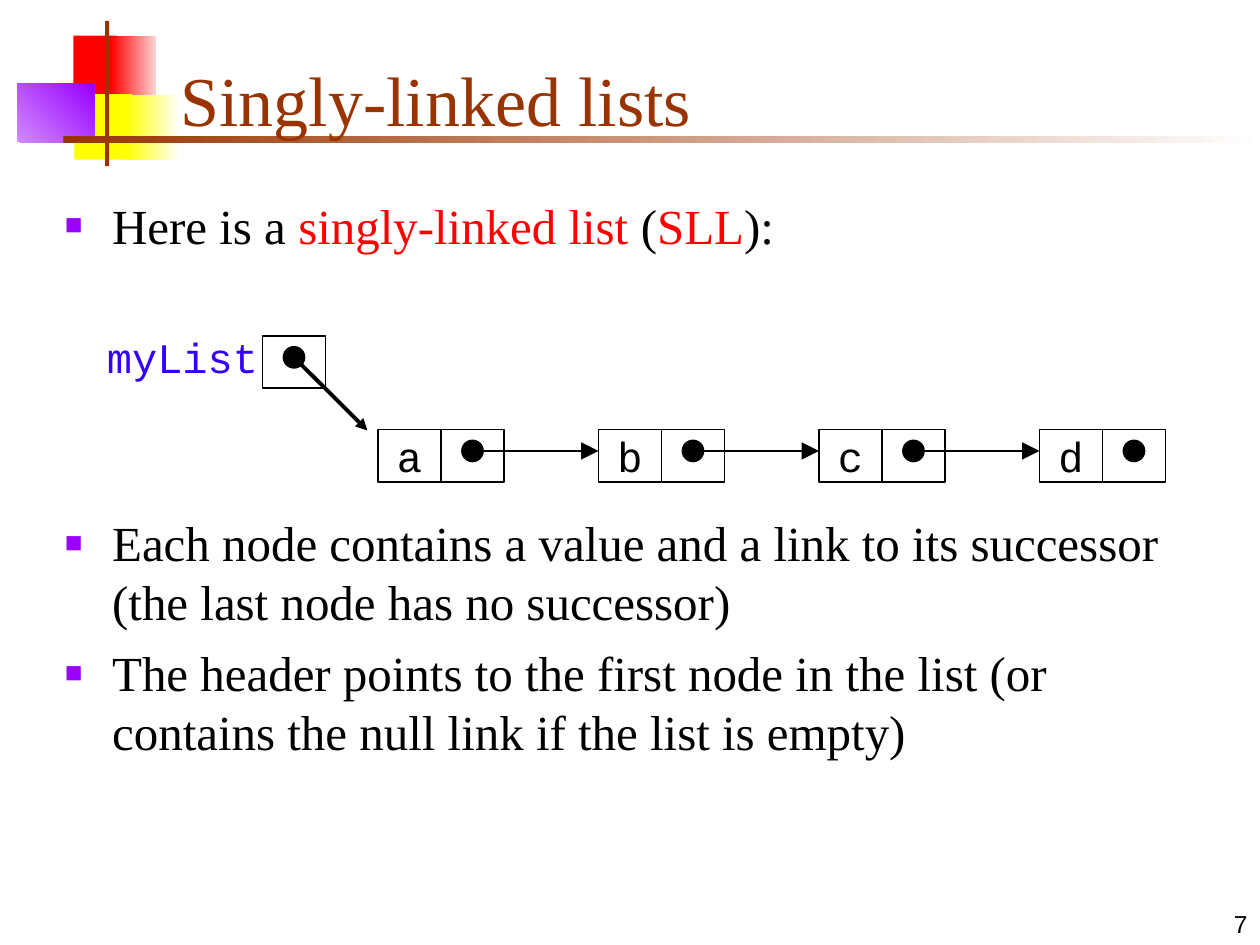
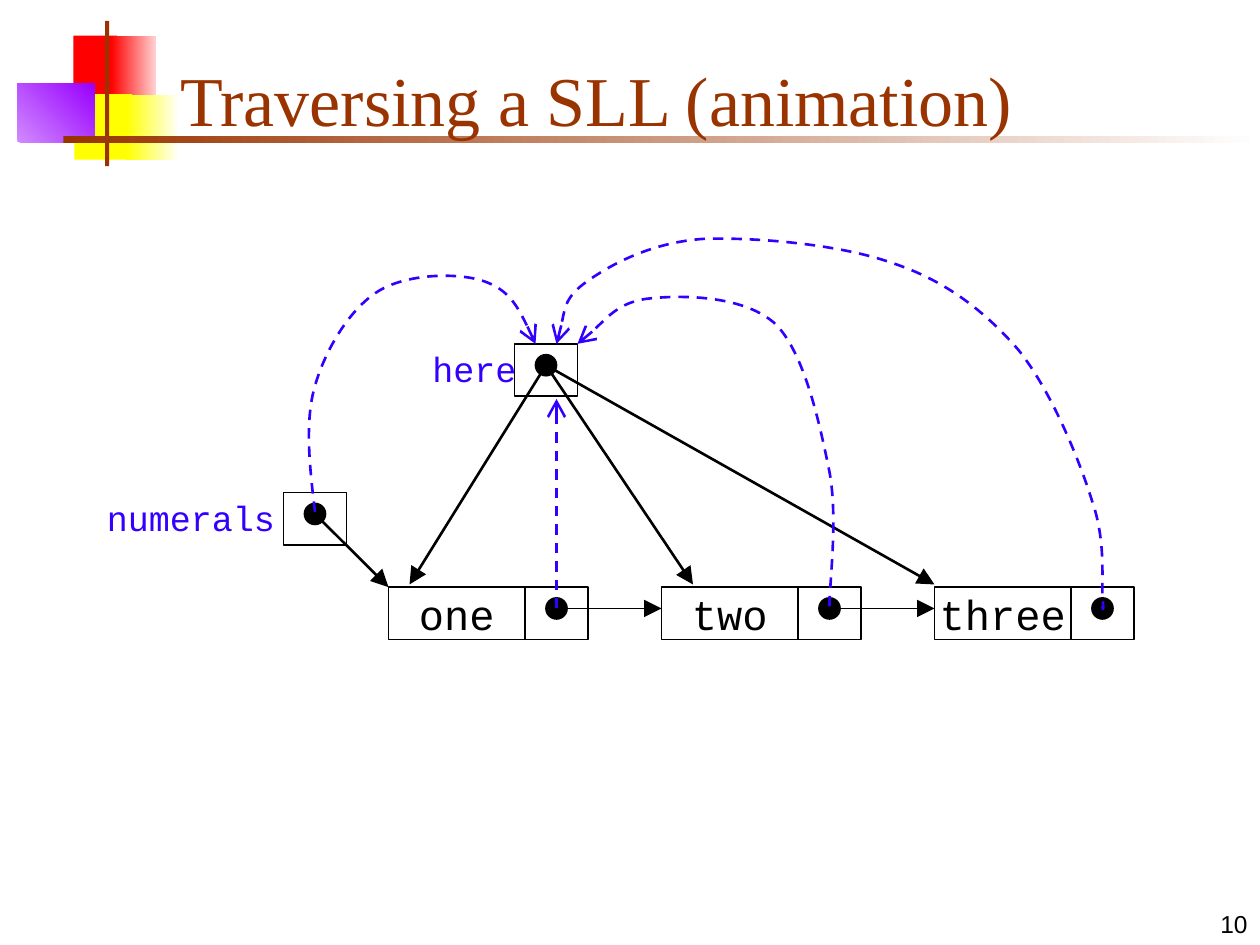
from lxml import etree
from pptx import Presentation
from pptx.dml.color import RGBColor
from pptx.enum import dml, shapes, text
from pptx.oxml import ns
from pptx.util import Pt

BLACK, RED, YELLOW = "000000", "FF0000", "FFFF00"
BROWN, PURPLE, BLUE = "993300", "9900FF", "3300FF"
SERIF, SANS, MONO = "Times New Roman", "Arial", "Courier New"
CELL_WIDTH, CELL_HEIGHT = 36, 30
DOT_X, DOT_Y, DOT_RADIUS = 18, 12.2, 6


def rgb(value):
    return RGBColor.from_string(value)


def add_element(parent, tag, **attributes):
    return etree.SubElement(parent, ns.qn(tag), attributes)


def add_preset(page, kind, left, top, width, height, fill=None, line=None):
    shape = page.shapes.add_shape(kind, Pt(left), Pt(top), Pt(width), Pt(height))
    shape.shadow.inherit = False
    if fill:
        shape.fill.solid()
        shape.fill.fore_color.rgb = rgb(fill)
    else:
        shape.fill.background()
    if line:
        shape.line.color.rgb = rgb(line)
        shape.line.width = Pt(1)
    else:
        shape.line.fill.background()
    return shape


def add_gradient(page, left, top, width, height, start, end, angle=0):
    shape = add_preset(page, shapes.MSO_SHAPE.RECTANGLE, left, top, width, height)
    shape.fill.gradient()
    shape.fill.gradient_angle = angle
    for stop, colour in zip(shape.fill.gradient_stops, (start, end)):
        stop.color.rgb = rgb(colour)


def style_paragraph(para, name, size, colour=None):
    para.font.name = name
    para.font.size = Pt(size)
    if colour:
        para.font.color.rgb = rgb(colour)


def add_text_box(page, left, top, width, height, anchor=text.MSO_ANCHOR.TOP):
    box = page.shapes.add_textbox(Pt(left), Pt(top), Pt(width), Pt(height))
    frame = box.text_frame
    frame.word_wrap = True
    frame.vertical_anchor = anchor
    return frame


def style_line(line, colour, width, head, head_size, dashed=False):
    line.color.rgb = rgb(colour)
    line.width = Pt(width)
    if dashed:
        line.dash_style = dml.MSO_LINE.DASH
    add_element(line._get_or_add_ln(), "a:tailEnd", type=head, w=head_size, len=head_size)


def add_arrow(page, start, end, width=1, colour=BLACK, head="triangle",
              head_size="lg", dashed=False):
    arrow = page.shapes.add_connector(
        shapes.MSO_CONNECTOR.STRAIGHT, *(Pt(value) for value in (*start, *end)))
    style_line(arrow.line, colour, width, head, head_size, dashed)
    add_element(arrow._element.spPr, "a:effectLst")


def add_curved_arrow(page, left, top, knots):
    """Join cubic curves: knots hold a start, then two controls and an end each."""
    points = [(Pt(left + x), Pt(top + y)) for x, y in knots]
    builder = page.shapes.build_freeform(*points[0])
    builder.add_line_segments(points[1:], close=False)
    curve = builder.convert_to_shape()
    segments = list(curve._element.iter(ns.qn("a:lnTo")))
    for first in range(0, len(segments), 3):
        bezier = etree.Element(ns.qn("a:cubicBezTo"))
        segments[first].addprevious(bezier)
        for segment in segments[first:first + 3]:
            bezier.append(segment[0])
            segment.getparent().remove(segment)
    curve.shadow.inherit = False
    curve.fill.background()
    style_line(curve.line, BLUE, 1.5, "arrow", "lg", dashed=True)


def add_page(deck, title, number):
    """Add a page with the corner blocks, the title rule, the title and the number."""
    page = deck.slides.add_slide(deck.slide_layouts[6])
    square = shapes.MSO_SHAPE.RECTANGLE
    add_preset(page, square, 42, 20.4, 25, 37.4, RED)
    add_gradient(page, 63.4, 20.4, 25.6, 37.4, RED, "FFD1D1")
    add_preset(page, square, 42.5, 53.8, 33, 37.4, YELLOW)
    add_gradient(page, 72, 54, 29, 37.4, YELLOW, "FFFFF0")
    add_gradient(page, 10, 48, 44, 33.4, "D18BFF", PURPLE, angle=45)
    add_preset(page, square, 60, 12, 2.4, 83, BROWN)
    add_gradient(page, 36.2, 77.8, 683.8, 3.8, BROWN, "FFFFFF")

    para = add_text_box(page, 570, 504, 150, 36, text.MSO_ANCHOR.BOTTOM).paragraphs[0]
    para.text = str(number)
    para.alignment = text.PP_ALIGN.RIGHT
    style_paragraph(para, SANS, 14, BLACK)

    para = add_text_box(page, 96, 18, 613.5, 66, text.MSO_ANCHOR.BOTTOM).paragraphs[0]
    para.text = title
    style_paragraph(para, SERIF, 40, BROWN)
    return page


def add_bullets(page, left, top, width, height, items):
    """Write one bullet per item; an item is a list of (words, colour) spans."""
    frame = add_text_box(page, left, top, width, height)
    for index, spans in enumerate(items):
        para = frame.add_paragraph() if index else frame.paragraphs[0]
        if index:
            para.space_before = Pt(7)
        props = para._p.get_or_add_pPr()
        props.set("marL", str(Pt(27)))
        props.set("indent", str(Pt(-27)))
        add_element(add_element(props, "a:buClr"), "a:srgbClr", val=PURPLE)
        add_element(props, "a:buSzPct", val="60000")
        add_element(props, "a:buFont", typeface=SANS)
        add_element(props, "a:buChar", char="■")
        style_paragraph(para, SERIF, 28)
        for words, colour in spans:
            span = para.add_run()
            span.text = words
            span.font.color.rgb = rgb(colour)


def add_link_cell(page, left, top):
    """Draw a link cell and return the centre of its dot."""
    add_preset(page, shapes.MSO_SHAPE.RECTANGLE, left, top, CELL_WIDTH, CELL_HEIGHT, line=BLACK)
    x, y = left + DOT_X, top + DOT_Y
    add_preset(page, shapes.MSO_SHAPE.OVAL, x - DOT_RADIUS, y - DOT_RADIUS,
               2 * DOT_RADIUS, 2 * DOT_RADIUS, BLACK, BLACK)
    return x, y


def add_variable(page, left, top, name, size, label_left, label_top, label_width):
    """Draw a named link cell; the label is placed relative to the cell."""
    centre = add_link_cell(page, left, top)
    frame = add_text_box(page, left + label_left, top + label_top, label_width, 1.5 * size)
    para = frame.paragraphs[0]
    para.text = name
    style_paragraph(para, MONO, size, BLUE)
    return centre


def add_linked_list(page, left, top, values, value_width, pitch):
    """Draw the nodes in a row and return the centres of their dots."""
    centres = []
    for index, value in enumerate(values):
        node_left = left + index * pitch
        cell = add_preset(page, shapes.MSO_SHAPE.RECTANGLE, node_left, top,
                          value_width, CELL_HEIGHT, line=BLACK)
        frame = cell.text_frame
        frame.word_wrap = False
        frame.vertical_anchor = text.MSO_ANCHOR.MIDDLE
        para = frame.paragraphs[0]
        para.text = value
        para.alignment = text.PP_ALIGN.CENTER
        style_paragraph(para, MONO, 24, BLACK)
        centres.append(add_link_cell(page, node_left + value_width, top))
    for index, (x, y) in enumerate(centres[:-1], start=1):
        add_arrow(page, (x, y), (left + index * pitch, y))
    return centres


def build_definition(deck):
    page = add_page(deck, "Singly-linked lists", 7)
    add_bullets(page, 30, 108, 675, 56, [[
        ("Here is a ", BLACK), ("singly-linked list", RED), (" (", BLACK),
        ("SLL", RED), ("):", BLACK)]])
    add_bullets(page, 30, 289.5, 675, 193.5, [
        [("Each node contains a value and a link to its successor "
          "(the last node has no successor)", BLACK)],
        [("The header points to the first node in the list "
          "(or contains the null link if the list is empty)", BLACK)]])
    add_linked_list(page, 216, 245.5, "abcd", CELL_WIDTH, 126)
    header = add_variable(page, 150, 192, "myList", 24, -96, -6, 102)
    add_arrow(page, header, (210, 246), 2.25, head_size="med")


def build_traversal(deck):
    page = add_page(deck, "Traversing a SLL (animation)", 10)
    list_left, list_top, pitch = 222, 335.5, 156
    here_left, here_top = 294, 196.5
    centres = add_linked_list(page, list_left, list_top, ("one", "two", "three"), 78, pitch)
    header = add_variable(page, 162, 281.5, "numerals", 20, -108, -1.5, 114)
    add_arrow(page, header, (list_left, list_top), 1.5)
    here = add_variable(page, here_left, here_top, "here", 20, -54, -1.5, 72)
    for target in (list_left + 12, list_left + pitch + 18, list_left + 2 * pitch):
        add_arrow(page, here, (target, list_top - 1.5), 1.5)
    x, y = centres[0]
    add_arrow(page, (x, y), (x, here_top + CELL_HEIGHT + 1.5), 1.5, BLUE, "arrow", dashed=True)

    from_numerals = [
        (-114, 96), (-117, 70.5), (-120, 44.5), (-114, 24), (-108, 3), (-94, -20), (-78, -30),
        (-62, -40), (-33.5, -41), (-18, -36), (-3, -31), (5, -16), (12, 0)]
    from_two = [
        (180, 150), (180, 137), (185, 99.5), (180, 73), (174.5, 46), (166, 6), (149.5, -11),
        (132, -27.5), (97, -28), (78, -26), (59.5, -24.5), (44.5, -5.5), (36, 0)]
    from_three = [
        (336, 150), (336, 152), (337, 154), (336, 144), (335.5, 134), (338, 112.5),
        (330, 89.5), (322.5, 65.5), (306.5, 26.5), (288, 3.5), (269, -18.5), (246.5, -36),
        (216.5, -46), (186, -57), (137.5, -61), (108, -60), (79, -58), (56, -46),
        (42, -36), (28, -26.5), (28, -13), (24, 0)]
    for knots in (from_numerals, from_two, from_three):
        add_curved_arrow(page, here_left, here_top, knots)


def main():
    deck = Presentation()
    deck.slide_width, deck.slide_height = Pt(720), Pt(540)
    build_definition(deck)
    build_traversal(deck)
    deck.save("out.pptx")


if __name__ == "__main__":
    main()
